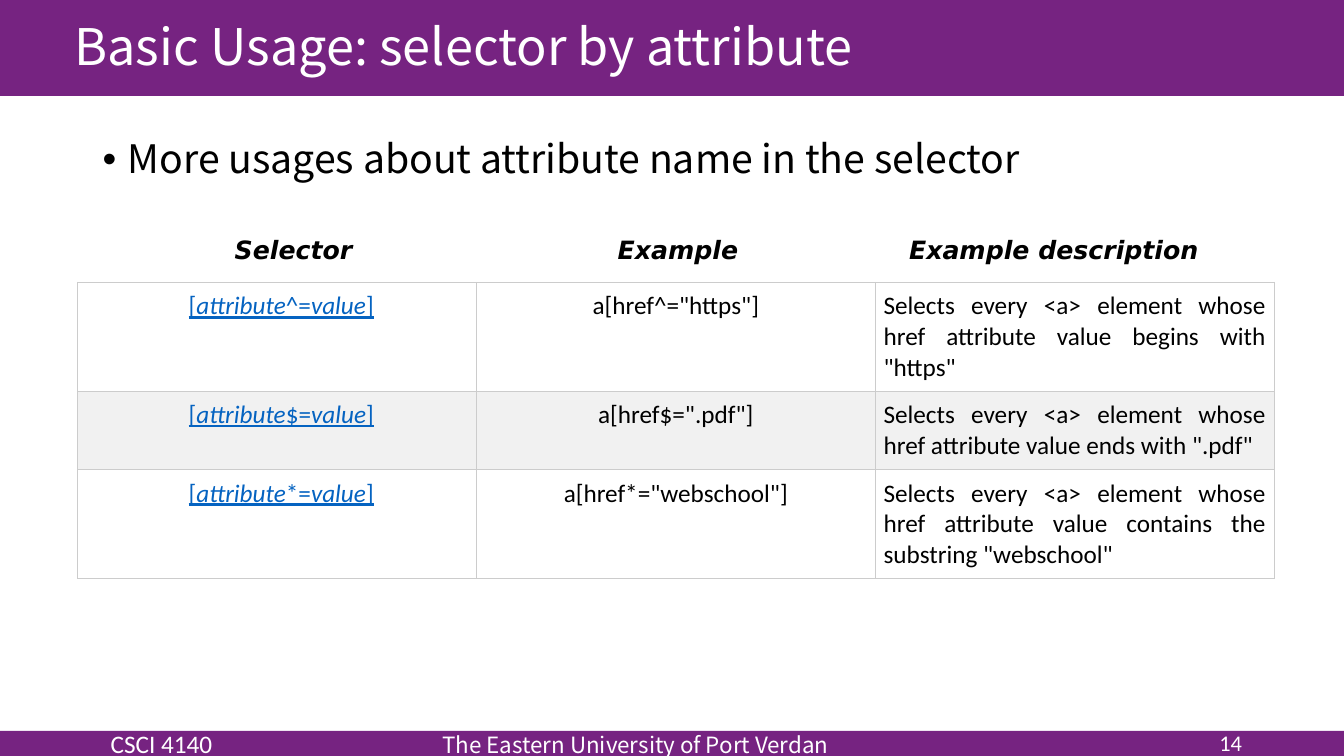
from collections import namedtuple
from lxml.etree import SubElement
from pptx import Presentation
from pptx.dml.color import RGBColor
from pptx.enum.shapes import MSO_SHAPE
from pptx.enum.text import MSO_ANCHOR, MSO_AUTO_SIZE, PP_ALIGN
from pptx.oxml.ns import qn
from pptx.util import Inches, Pt

PURPLE = RGBColor(0x76, 0x23, 0x81)
WHITE = RGBColor(0xFF, 0xFF, 0xFF)
BLACK = RGBColor(0, 0, 0)
BLUE = RGBColor(0x05, 0x63, 0xC1)
BAND = RGBColor(0xF1, 0xF1, 0xF1)
GRAY = RGBColor(0xCC, 0xCC, 0xCC)
NOTO, CALI, DEJA = "Noto Sans CJK SC", "Calibri", "DejaVu Sans"

WIDE, HIGH = Inches(13.33), Inches(7.5)
COLS, ROWS = 160, 90
Box = namedtuple("Box", "x y w h")

HEADS = [("Selector", 17.52, 16.44), ("Example", 63.12, 16.92),
         ("Example description", 97.8, 36.96)]
USES = [("^=", 'a[href^="https"]', 'begins with "https"', 12.96),
        ("$=", 'a[href$=".pdf"]', 'ends with ".pdf"', 9.36),
        ("*=", 'a[href*="webschool"]', 'contains the substring "webschool"', 12.96)]


def across(n):
    return round(WIDE * n / COLS)


def down(n):
    return round(HIGH * n / ROWS)


def part(box, x, y, w, h):
    return Box(box.x + x, box.y + y, w, h)


def emu(box):
    return across(box.x), down(box.y), across(box.w), down(box.h)


def write(frame, text, size=18, font=CALI, color=BLACK, bold=False, under=False,
          align=PP_ALIGN.LEFT, line=None, before=None):
    para = frame.paragraphs[0]
    para.alignment = align
    para.line_spacing = line
    para.space_before = before
    for piece in [text] if isinstance(text, str) else text:
        words, look = (piece, {}) if isinstance(piece, str) else piece
        run = para.add_run()
        run.text = words
        run.font.name = look.get("font", font)
        run.font.size = Pt(look.get("size", size))
        run.font.color.rgb = color
        run.font.bold = bold
        run.font.italic = look.get("italic", False)
        run.font.underline = under
    return para


def label(slide, box, text, wrap=True, anchor=MSO_ANCHOR.TOP, **look):
    frame = slide.shapes.add_textbox(*emu(box)).text_frame
    frame.word_wrap = wrap
    frame.auto_size = MSO_AUTO_SIZE.NONE if wrap else MSO_AUTO_SIZE.SHAPE_TO_FIT_TEXT
    frame.vertical_anchor = anchor
    return write(frame, text, **look)


def bar(slide, box):
    shape = slide.shapes.add_shape(MSO_SHAPE.RECTANGLE, *emu(box))
    shape.shadow.inherit = False
    shape.fill.solid()
    shape.fill.fore_color.rgb = PURPLE
    shape.line.fill.background()
    return shape


def header(slide, box):
    band = bar(slide, box)
    band.line.color.rgb = PURPLE
    band.line.width = Pt(1)
    label(slide, part(box, 7.68, 0.48, 136.92, 11.04),
          "Basic Usage: selector by attribute", anchor=MSO_ANCHOR.MIDDLE,
          size=36, font=NOTO, color=WHITE, line=0.9)


def footer(slide, box):
    frame = bar(slide, box).text_frame
    frame.vertical_anchor = MSO_ANCHOR.MIDDLE
    para = write(frame, ["\tCSCI 4140",
                         ("\tThe Eastern University of Port Verdan",
                          {"size": 16, "font": NOTO})], color=WHITE)
    tabs = SubElement(para._p.get_or_add_pPr(), qn("a:tabLst"))
    for stop in (12, 51.5):
        SubElement(tabs, qn("a:tab"), pos=str(across(stop)), algn="l")
    label(slide, part(box, 137.88, -0.96, 11.16, 4.8), "14",
          anchor=MSO_ANCHOR.MIDDLE, size=16, color=WHITE, align=PP_ALIGN.RIGHT)


def bullet(slide, box):
    para = label(slide, box, "More usages about attribute name in the selector",
                 size=28, font=NOTO, line=0.9, before=Pt(10))
    props = para._p.get_or_add_pPr()
    props.set("marL", str(across(3)))
    props.set("indent", str(-across(3)))
    SubElement(props, qn("a:buFont"), typeface="Arial")
    SubElement(props, qn("a:buChar"), char="•")


def edge(cell):
    props = cell._tc.get_or_add_tcPr()
    for side in ("lnL", "lnR", "lnT", "lnB"):
        line = SubElement(props, qn("a:" + side), w=str(Pt(0.75)))
        fill = SubElement(line, qn("a:solidFill"))
        SubElement(fill, qn("a:srgbClr"), val=str(GRAY))


def grid(slide, box):
    for text, x, w in HEADS:
        label(slide, part(box, x, -6.24, w, 4.8), [(text, {"italic": True})],
              wrap=False, font=DEJA, bold=True)
    table = slide.shapes.add_table(len(USES), len(HEADS), *emu(box)).table
    table.first_row = table.horz_banding = False
    for col in table.columns:
        col.width = across(box.w / len(HEADS))
    for r, (sign, sample, end, tall) in enumerate(USES):
        table.rows[r].height = down(tall)
        slant = {"italic": True}
        name = ["[", ("attribute", slant), sign, ("value", slant), "]"]
        about = "Selects every <a> element whose href attribute value " + end
        looks = [(name, {"color": BLUE, "under": True, "align": PP_ALIGN.CENTER}),
                 (sample, {"align": PP_ALIGN.CENTER}),
                 (about, {"align": PP_ALIGN.JUSTIFY})]
        for c, (text, look) in enumerate(looks):
            cell = table.cell(r, c)
            cell.margin_left = across(1 if c else 2)
            cell.margin_right = across(1)
            cell.margin_top = cell.margin_bottom = down(1)
            edge(cell)
            cell.fill.solid()
            cell.fill.fore_color.rgb = BAND if r % 2 else WHITE
            write(cell.text_frame, text, **look)


def main():
    deck = Presentation()
    deck.slide_width, deck.slide_height = WIDE, HIGH
    slide = deck.slides.add_slide(deck.slide_layouts[6])
    header(slide, Box(0, -0.12, COLS, 11.52))
    bullet(slide, Box(11.04, 16.08, 146.4, 66))
    grid(slide, Box(9.24, 33.6, 142.44, sum(use[-1] for use in USES)))
    footer(slide, Box(0, 87, COLS, 3))
    deck.save("out.pptx")


if __name__ == "__main__":
    main()
